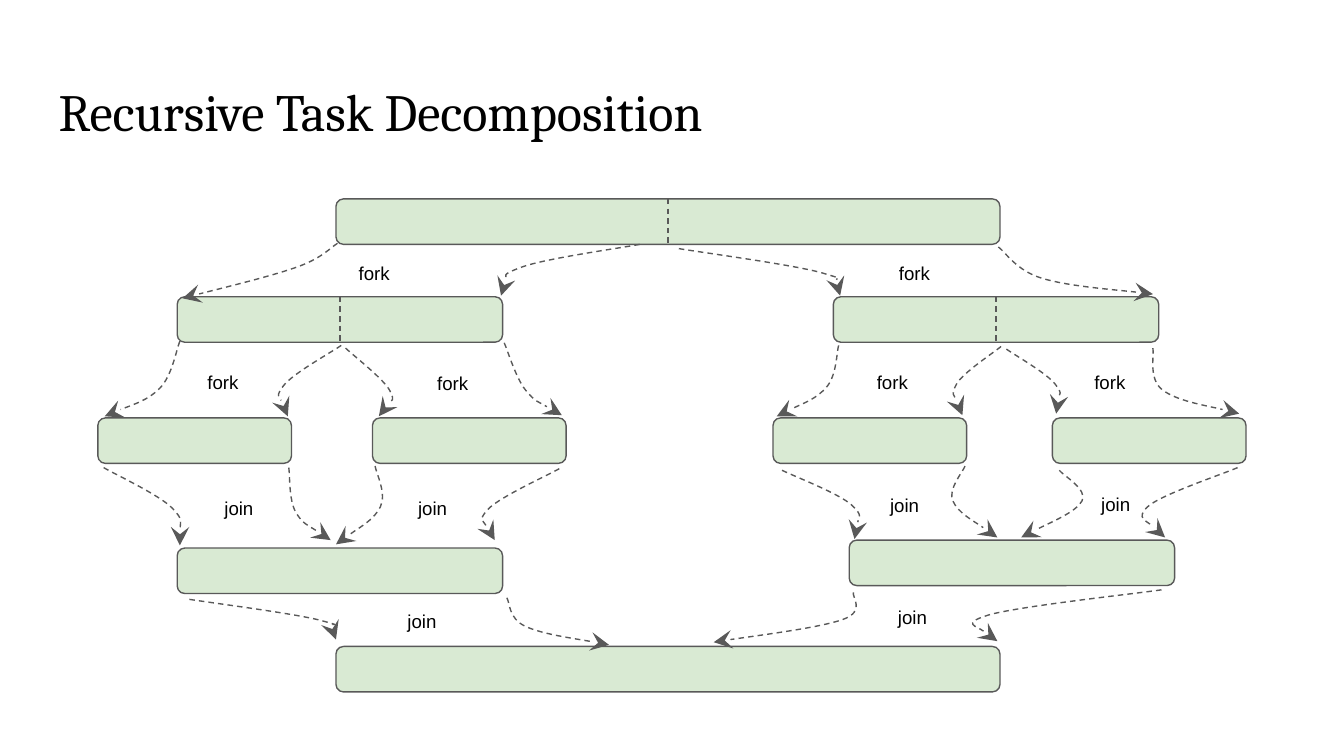
from lxml.etree import SubElement
from pptx import Presentation
from pptx.dml.color import RGBColor
from pptx.enum.dml import MSO_LINE
from pptx.enum.shapes import MSO_CONNECTOR, MSO_SHAPE
from pptx.enum.text import MSO_ANCHOR, MSO_AUTO_SIZE, PP_ALIGN
from pptx.oxml.ns import qn
from pptx.util import Cm, Pt

GREEN, GREY, BLACK = "D9EAD3", "595959", "000000"
BAR_HEIGHT = 0.86
FULL, HALF, QUARTER = 12.55, 6.15, 3.66  # bar widths

# Bars: left, top, width
SPLIT_TASKS = [(6.35, 3.76, FULL), (3.35, 5.61, HALF), (15.75, 5.61, HALF)]
LEAF_TASKS = [(left, 7.9, QUARTER) for left in (1.85, 7.04, 14.61, 19.89)]
JOINED_TASKS = [(3.35, 10.36, HALF), (16.05, 10.21, HALF), (6.35, 12.22, FULL)]

# Arrows: start, middle and end point of each curve
ARROWS = [
    # Whole task to halves
    ((6.38, 4.6), (5.61, 5.05), (3.45, 5.64)),
    ((12.09, 4.62), (9.86, 5.05), (9.47, 5.59)),
    ((12.83, 4.7), (15.54, 5.16), (15.88, 5.59)),
    ((18.87, 4.67), (19.69, 5.26), (21.79, 5.56)),
    # Halves to quarters
    ((3.4, 6.45), (3.02, 7.34), (1.98, 7.87)),
    ((6.45, 6.53), (5.36, 7.29), (5.44, 7.87)),
    ((6.53, 6.58), (7.37, 7.39), (7.16, 7.87)),
    ((9.53, 6.48), (9.93, 7.37), (10.62, 7.85)),
    ((15.85, 6.53), (15.62, 7.32), (14.68, 7.87)),
    ((18.92, 6.55), (18.08, 7.26), (18.19, 7.85)),
    ((19.02, 6.6), (19.94, 7.26), (19.96, 7.82)),
    ((21.79, 6.58), (21.97, 7.37), (23.42, 7.82)),
    # Quarters back to halves
    ((1.96, 8.84), (3.25, 9.6), (3.4, 10.31)),
    ((5.46, 8.84), (5.59, 9.68), (6.25, 10.21)),
    ((7.09, 8.81), (7.19, 9.58), (6.35, 10.29)),
    ((10.57, 8.86), (9.22, 9.63), (9.35, 10.21)),
    ((14.78, 8.89), (16.1, 9.55), (16.15, 10.19)),
    ((18.24, 8.81), (18.01, 9.47), (18.85, 10.16)),
    ((20.02, 8.89), (20.45, 9.47), (19.3, 10.16)),
    ((23.39, 8.84), (21.69, 9.58), (22.02, 10.16)),
    # Halves back to the whole
    ((3.58, 11.33), (6.07, 11.73), (6.35, 12.09)),
    ((9.58, 11.3), (9.93, 11.84), (11.51, 12.19)),
    ((16.13, 11.2), (15.93, 11.71), (13.49, 12.14)),
    ((21.95, 11.15), (18.67, 11.63), (18.85, 12.12)),
]

# Labels: text, alignment, left and top of each
LABELS = [
    ("fork", PP_ALIGN.LEFT, [(6.53, 4.7), (16.74, 4.7)]),
    ("fork", PP_ALIGN.CENTER,
     [(3.15, 6.76), (7.49, 6.78), (15.8, 6.76), (19.91, 6.76)]),
    ("join", PP_ALIGN.CENTER,
     [(3.45, 9.14), (7.11, 9.14), (16.03, 9.09), (20.02, 9.07),
      (6.91, 11.28), (16.18, 11.2)]),
]


def color(value):
    return RGBColor.from_string(value)


def style_line(shape, dashed=False):
    shape.line.color.rgb = color(GREY)
    shape.line.width = Pt(0.75)
    if dashed:
        shape.line.dash_style = MSO_LINE.DASH


def style_text(frame, text, font, size, align):
    frame.word_wrap = True
    frame.auto_size = MSO_AUTO_SIZE.NONE
    frame.vertical_anchor = MSO_ANCHOR.TOP
    frame.margin_left = frame.margin_right = Cm(0.25)
    frame.margin_top = frame.margin_bottom = Cm(0.25)
    frame.text = text
    para = frame.paragraphs[0]
    para.alignment = align
    para.font.name = font
    para.font.size = Pt(size)
    para.font.color.rgb = color(BLACK)


def add_title(page, text):
    title = page.shapes.title
    title.left, title.top = Cm(0.86), Cm(1.24)
    title.width, title.height = Cm(23.67), Cm(1.6)
    style_text(title.text_frame, text, "Cambria", 28, PP_ALIGN.LEFT)


def add_task(page, left, top, width):
    bar = page.shapes.add_shape(MSO_SHAPE.ROUNDED_RECTANGLE, Cm(left), Cm(top),
                                Cm(width), Cm(BAR_HEIGHT))
    bar.shadow.inherit = False
    bar.fill.solid()
    bar.fill.fore_color.rgb = color(GREEN)
    style_line(bar)
    return bar


def add_divider(page, bar):
    middle = bar.left + bar.width // 2
    divider = page.shapes.add_connector(MSO_CONNECTOR.STRAIGHT, middle, bar.top,
                                        middle, bar.top + bar.height)
    divider.begin_connect(bar, 0)
    divider.end_connect(bar, 2)
    style_line(divider, dashed=True)
    SubElement(divider.element.spPr, qn("a:effectLst"))


def curve_points(start, middle, end):
    """Control and end points of a smooth curve through three points."""
    def shift(point, origin, target, sign=1):
        return tuple(p + sign * (t - o) / 6
                     for p, o, t in zip(point, origin, target))

    return [shift(start, start, middle), shift(middle, start, end, -1), middle,
            shift(middle, start, end), shift(end, middle, end, -1), end]


def add_arrow(page, start, middle, end):
    builder = page.shapes.build_freeform(Cm(start[0]), Cm(start[1]))
    points = curve_points(start, middle, end)
    builder.add_line_segments([(Cm(x), Cm(y)) for x, y in points], close=False)
    arrow = builder.convert_to_shape()
    arrow.shadow.inherit = False
    arrow.fill.background()
    style_line(arrow, dashed=True)

    # Turn each three segments into one Bézier segment
    outline = arrow.element.xpath(".//a:path")[0]
    segments = outline.findall(qn("a:lnTo"))
    for first in range(0, len(segments), 3):
        bezier = SubElement(outline, qn("a:cubicBezTo"))
        for segment in segments[first:first + 3]:
            bezier.append(segment[0])
            outline.remove(segment)

    line = arrow.element.xpath(".//a:ln")[0]
    SubElement(line, qn("a:tailEnd"), type="stealth", w="lg", len="lg")


def add_label(page, text, align, left, top):
    box = page.shapes.add_textbox(Cm(left), Cm(top), Cm(2.13), Cm(0.86))
    style_text(box.text_frame, text, "Arial", 10, align)


def main():
    deck = Presentation()
    deck.slide_width, deck.slide_height = Cm(25.4), Cm(14.29)
    page = deck.slides.add_slide(deck.slide_layouts[5])
    add_title(page, "Recursive Task Decomposition")

    # Task bars
    split_bars = [add_task(page, *task) for task in SPLIT_TASKS]
    for task in LEAF_TASKS + JOINED_TASKS:
        add_task(page, *task)

    # Fork and join arrows with their labels
    for arrow in ARROWS:
        add_arrow(page, *arrow)
    for text, align, places in LABELS:
        for left, top in places:
            add_label(page, text, align, left, top)

    # Split marks
    for bar in split_bars:
        add_divider(page, bar)

    deck.save("out.pptx")


if __name__ == "__main__":
    main()
